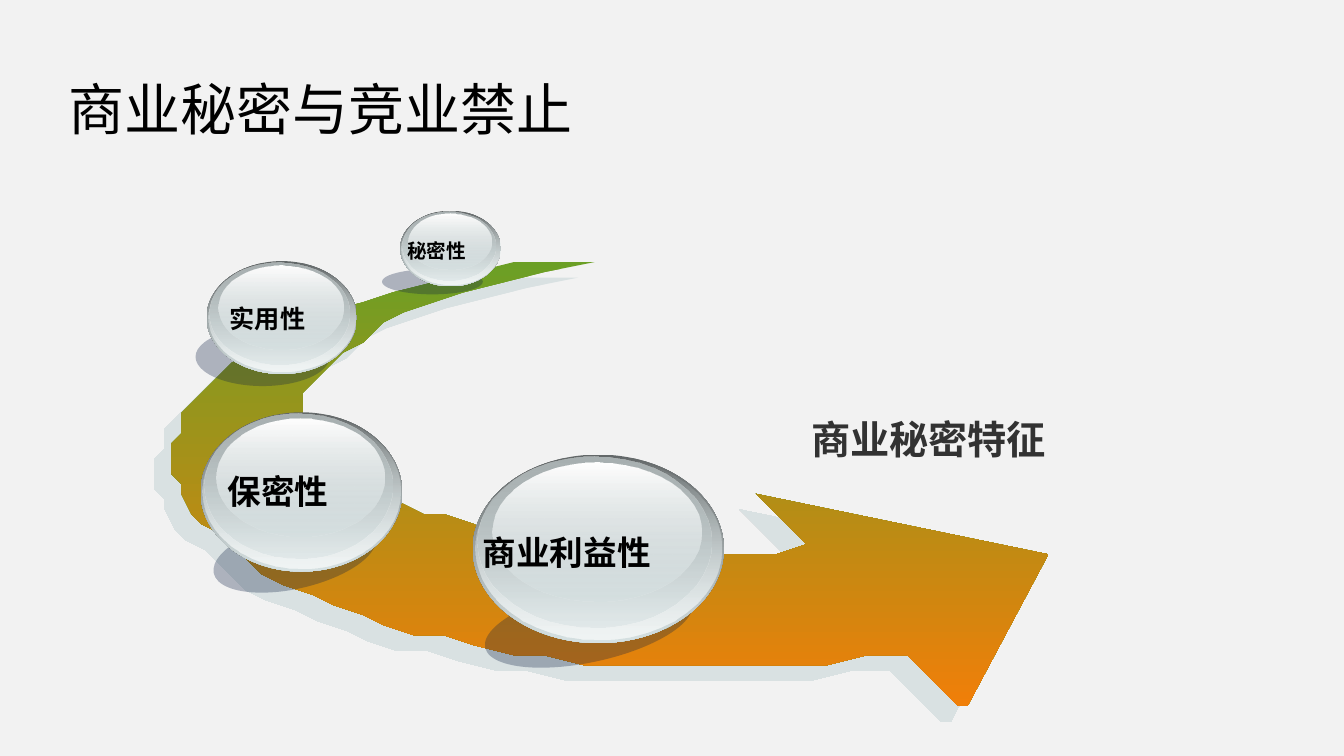
from dataclasses import dataclass

from lxml.etree import SubElement
from pptx import Presentation
from pptx.dml.color import RGBColor
from pptx.enum.shapes import MSO_SHAPE
from pptx.enum.text import MSO_ANCHOR, MSO_AUTO_SIZE, PP_ALIGN
from pptx.oxml.ns import qn
from pptx.shapes.autoshape import Shape
from pptx.slide import Slide
from pptx.text.text import TextFrame
from pptx.util import Inches, Pt

CELL = Inches(0.1)
COLS, ROWS = 133.33, 75

Box = tuple[float, float, float, float]
Stop = tuple[str, int]


@dataclass(frozen=True)
class Layer:
    """An oval of a ball, as shares of the rim, with its top and base colours."""
    share: Box
    top: Stop
    base: Stop


@dataclass(frozen=True)
class Ball:
    """A glass ball with its label and shade, placed in grid cells."""
    text: str
    size: int
    rim: Box
    label: Box
    shade: Box
    turn: float = 0


LAYERS = [
    Layer((0, 0, 1, 1), ("636869", 100), ("D6E1E2", 100)),
    Layer((0.01, 0.01, 0.98, 0.97), ("D6E1E2", 0), ("F1F5F5", 100)),
    Layer((0.02, 0.01, 0.93, 0.91), ("AAB2B3", 100), ("D6E1E2", 48)),
    Layer((0.08, 0.04, 0.83, 0.74), ("FFFFFF", 100), ("D6E1E2", 38)),
]

BALLS = [
    Ball("商业利益性", 24, (46.9, 45.1, 24.9, 18.7), (46.9, 52.3, 18.9, 5),
         (47.9, 58.4, 21, 7.3), 347.9),
    Ball("保密性", 24, (19.9, 40.9, 20, 15.8), (21.6, 46.2, 12.2, 5),
         (21, 51.7, 16.5, 6.7), 347.1),
    Ball("实用性", 18, (20.5, 25.9, 14.9, 11.2), (21.8, 29.6, 9.6, 4),
         (19.4, 32.5, 13.3, 5.8)),
    Ball("秘密性", 14, (39.7, 20.9, 10, 7.5), (39.4, 23.2, 7.9, 3.4),
         (37.9, 26.7, 10, 2.5)),
]

OUTER = [
    (55.5, 25.7), (50.9, 26.5), (46.6, 27.3), (42.6, 28.2), (39, 29.2),
    (35.6, 30.2), (32.5, 31.3), (29.8, 32.5), (27.3, 33.6), (25.1, 34.9),
    (23.2, 36.1), (21.6, 37.4), (20.3, 38.7), (19.2, 40), (18.3, 41.3),
    (17.7, 42.7), (17.4, 44), (17.3, 45.4), (17.4, 46.7), (17.9, 48.1),
    (18.4, 49.4), (19.3, 50.7), (20.3, 52), (21.6, 53.3), (23, 54.5),
    (24.6, 55.7), (26.5, 56.8), (28.5, 57.9), (30.7, 59), (33.1, 60),
    (35.6, 60.9), (38.3, 61.8), (41.2, 62.6), (44.2, 63.4), (47.4, 64),
    (50.7, 64.6), (54.1, 65.1), (57.7, 65.5), (61.4, 65.8), (65.2, 65.9),
    (69.1, 66), (73.2, 66), (77.3, 65.9), (81.5, 65.6), (85.8, 65.3),
]
HEAD = [(90.3, 64.7), (95.4, 69.9), (95.5, 69.9), (104, 55), (74.7, 49.2), (79.9, 54.4)]
INNER = [
    (77.4, 54.7), (74.8, 54.9), (72.3, 55.1), (69.6, 55.1), (67, 55),
    (64.3, 54.9), (61.6, 54.7), (59, 54.4), (56.4, 54.1), (53.8, 53.7),
    (51.4, 53.2), (48.9, 52.6), (46.6, 52), (44.4, 51.4), (42.2, 50.7),
    (40.2, 49.9), (38.3, 49.1), (36.6, 48.2), (35.1, 47.4), (33.7, 46.4),
    (32.5, 45.5), (31.5, 44.5), (30.8, 43.4), (30.2, 42.4), (29.9, 41.3),
    (29.9, 40.3), (30.1, 39.2), (30.7, 38.1), (31.5, 36.9), (32.6, 35.8),
    (34, 34.7), (35.8, 33.6), (37.9, 32.4), (40.4, 31.3), (43.3, 30.2),
    (46.5, 29.1), (50.2, 28), (54.3, 27), (58.7, 25.9),
]


def cells(box: Box) -> list[int]:
    """Turn grid cells into slide lengths."""
    return [round(n * CELL) for n in box]


def hue(code: str) -> RGBColor:
    """Read a hex colour."""
    return RGBColor.from_string(code)


def paint(shape: Shape, *stops: Stop) -> None:
    """Fill with one colour or a downward blend, with opacity in percent."""
    shape.shadow.inherit = False
    shape.line.fill.background()
    if len(stops) == 1:
        shape.fill.solid()
        shape.fill.fore_color.rgb = hue(stops[0][0])
    else:
        shape.fill.gradient()
        shape.fill.gradient_angle = 270
        for mark, (code, _) in zip(shape.fill.gradient_stops, stops):
            mark.color.rgb = hue(code)
    tints = list(shape.element.spPr.iter(qn("a:srgbClr")))
    for tint, (_, clear) in zip(tints, stops):
        if clear < 100:
            SubElement(tint, qn("a:alpha"), val=str(clear * 1000))


def oval(slide: Slide, box: Box, *stops: Stop, turn: float = 0) -> None:
    """Draw a filled ellipse."""
    shape = slide.shapes.add_shape(MSO_SHAPE.OVAL, *cells(box))
    shape.rotation = turn
    paint(shape, *stops)


def write(frame: TextFrame, text: str, *, size: int, font: str = "Arial",
          code: str = "000000", bold: bool = True, wrap: bool = True,
          fit: MSO_AUTO_SIZE = MSO_AUTO_SIZE.SHAPE_TO_FIT_TEXT) -> None:
    """Put formatted text in a frame."""
    frame.word_wrap = wrap
    frame.auto_size = fit
    line = frame.paragraphs[0]
    line.alignment = PP_ALIGN.LEFT
    run = line.add_run()
    run.text = text
    run.font.name, run.font.size, run.font.bold = font, Pt(size), bold
    run.font.color.rgb = hue(code)


def head(slide: Slide) -> None:
    """Place the slide title."""
    title = slide.shapes.title
    title.left, title.top, title.width, title.height = cells((5.8, 6, 120, 10.2))
    title.text_frame.vertical_anchor = MSO_ANCHOR.MIDDLE
    write(title.text_frame, "商业秘密与竞业禁止", size=40, font="Montserrat",
          bold=False, fit=MSO_AUTO_SIZE.NONE)
    title.text_frame.paragraphs[0].line_spacing = 0.9


def arrow(slide: Slide) -> None:
    """Draw the curved arrow and its cast shadow."""
    start, *rest = OUTER + HEAD + INNER
    pen = slide.shapes.build_freeform(*start, scale=CELL)
    pen.add_line_segments(rest, close=True)
    shape = pen.convert_to_shape()
    paint(shape, ("6B9F25", 100), ("F07F09", 100))
    glow = shape.element.spPr.find(qn("a:effectLst"))
    cast = SubElement(glow, qn("a:outerShdw"), blurRad="0", dist=str(Pt(16.3)),
                      dir=str(137 * 60000), algn="ctr", rotWithShape="0")
    tint = SubElement(cast, qn("a:srgbClr"), val="C1D1D3")
    SubElement(tint, qn("a:alpha"), val="50000")


def globe(slide: Slide, ball: Ball) -> None:
    """Draw a ball over its shade, with its label."""
    oval(slide, ball.shade, ("0F2145", 30), turn=ball.turn)
    left, top, wide, high = ball.rim
    for layer in LAYERS:
        x, y, w, h = layer.share
        box = (left + x * wide, top + y * high, w * wide, h * high)
        oval(slide, box, layer.top, layer.base)
    label = slide.shapes.add_textbox(*cells(ball.label))
    write(label.text_frame, ball.text, size=ball.size, wrap=False)


def main() -> None:
    """Build and save the slide."""
    deck = Presentation()
    deck.slide_width, deck.slide_height = round(COLS * CELL), ROWS * CELL
    slide = deck.slides.add_slide(deck.slide_layouts[5])
    slide.background.fill.solid()
    slide.background.fill.fore_color.rgb = hue("F2F2F2")
    head(slide)
    arrow(slide)
    note = slide.shapes.add_textbox(*cells((79.5, 40.7, 38.9, 5.7)))
    write(note.text_frame, "商业秘密特征", size=28, code="323232")
    for ball in BALLS:
        globe(slide, ball)
    deck.save("out.pptx")


if __name__ == "__main__":
    main()
